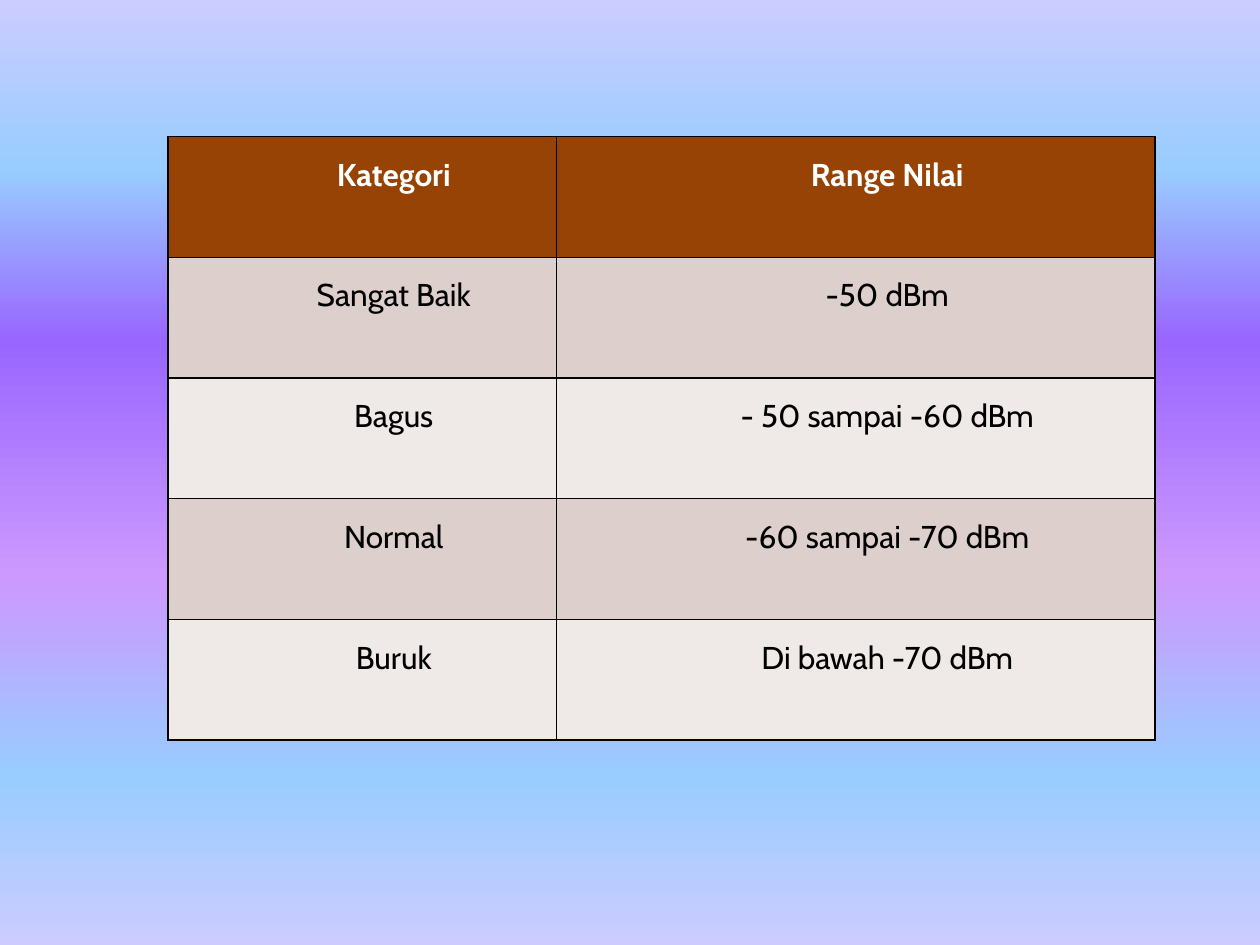
from dataclasses import dataclass

from lxml.etree import SubElement
from pptx import Presentation
from pptx.dml.color import RGBColor
from pptx.enum.text import MSO_ANCHOR, PP_ALIGN
from pptx.oxml.ns import qn
from pptx.util import Pt


@dataclass(frozen=True)
class Theme:
    font: str = "Cabin"
    text_size: float = 18
    line_spacing: float = 1.5
    border_width: float = 1
    border: str = "000000"
    header_fill: str = "964305"
    header_text: str = "FFFFFF"
    body_text: str = "000000"
    band_fills: tuple = ("DDCFCC", "EFE9E7")
    backdrop: tuple = (
        (0, "CCCCFF"), (18, "99CCFF"), (36, "9966FF"),
        (61, "CC99FF"), (82, "99CCFF"), (100, "CCCCFF"),
    )


THEME = Theme()
TABLE_BOX = (96, 78, 564, 345)
COLUMN_WIDTHS = (222, 342)
SIGNAL_ROWS = (
    ("Kategori", "Range Nilai"),
    ("Sangat Baik", "-50 dBm"),
    ("Bagus", "- 50 sampai -60 dBm"),
    ("Normal", "-60 sampai -70 dBm"),
    ("Buruk", "Di bawah -70 dBm"),
)


def paint_backdrop(slide):
    fill = slide.background.fill
    fill.gradient()
    fill.gradient_angle = 270
    stops = next(slide.element.iter(qn("a:gsLst")))
    for stop in list(stops):
        stops.remove(stop)
    for percent, color in THEME.backdrop:
        stop = SubElement(stops, qn("a:gs"), pos=str(percent * 1000))
        SubElement(stop, qn("a:srgbClr"), val=color)


def add_borders(cell):
    properties = cell._tc.get_or_add_tcPr()
    for side in ("lnL", "lnR", "lnT", "lnB"):
        line = SubElement(properties, qn(f"a:{side}"), w=str(Pt(THEME.border_width)))
        solid = SubElement(line, qn("a:solidFill"))
        SubElement(solid, qn("a:srgbClr"), val=THEME.border)


def fill_cell(cell, text, fill_color, text_color, bold):
    add_borders(cell)
    cell.fill.solid()
    cell.fill.fore_color.rgb = RGBColor.from_string(fill_color)
    cell.margin_left = cell.margin_right = Pt(5.4)
    cell.margin_top = cell.margin_bottom = Pt(0)
    cell.vertical_anchor = MSO_ANCHOR.TOP
    paragraph = cell.text_frame.paragraphs[0]
    paragraph.alignment = PP_ALIGN.CENTER
    paragraph.line_spacing = THEME.line_spacing
    indent = paragraph._p.get_or_add_pPr()
    indent.set("marL", str(Pt(36)))
    indent.set("indent", "0")
    run = paragraph.add_run()
    run.text = text
    run.font.name = THEME.font
    run.font.size = Pt(THEME.text_size)
    run.font.bold = bold
    run.font.color.rgb = RGBColor.from_string(text_color)


def add_signal_table(slide, box):
    left, top, width, height = map(Pt, box)
    frame = slide.shapes.add_table(
        len(SIGNAL_ROWS), len(COLUMN_WIDTHS), left, top, width, height
    )
    table = frame.table
    for column, column_width in zip(table.columns, COLUMN_WIDTHS):
        column.width = Pt(column_width)
    for row_index, texts in enumerate(SIGNAL_ROWS):
        is_header = row_index == 0
        fill_color = THEME.header_fill if is_header else THEME.band_fills[(row_index - 1) % 2]
        text_color = THEME.header_text if is_header else THEME.body_text
        for column_index, text in enumerate(texts):
            cell = table.cell(row_index, column_index)
            fill_cell(cell, text, fill_color, text_color, is_header)


def main():
    presentation = Presentation()
    presentation.slide_width = Pt(720)
    presentation.slide_height = Pt(540)
    slide = presentation.slides.add_slide(presentation.slide_layouts[6])
    paint_backdrop(slide)
    add_signal_table(slide, TABLE_BOX)
    presentation.save("out.pptx")


if __name__ == "__main__":
    main()
